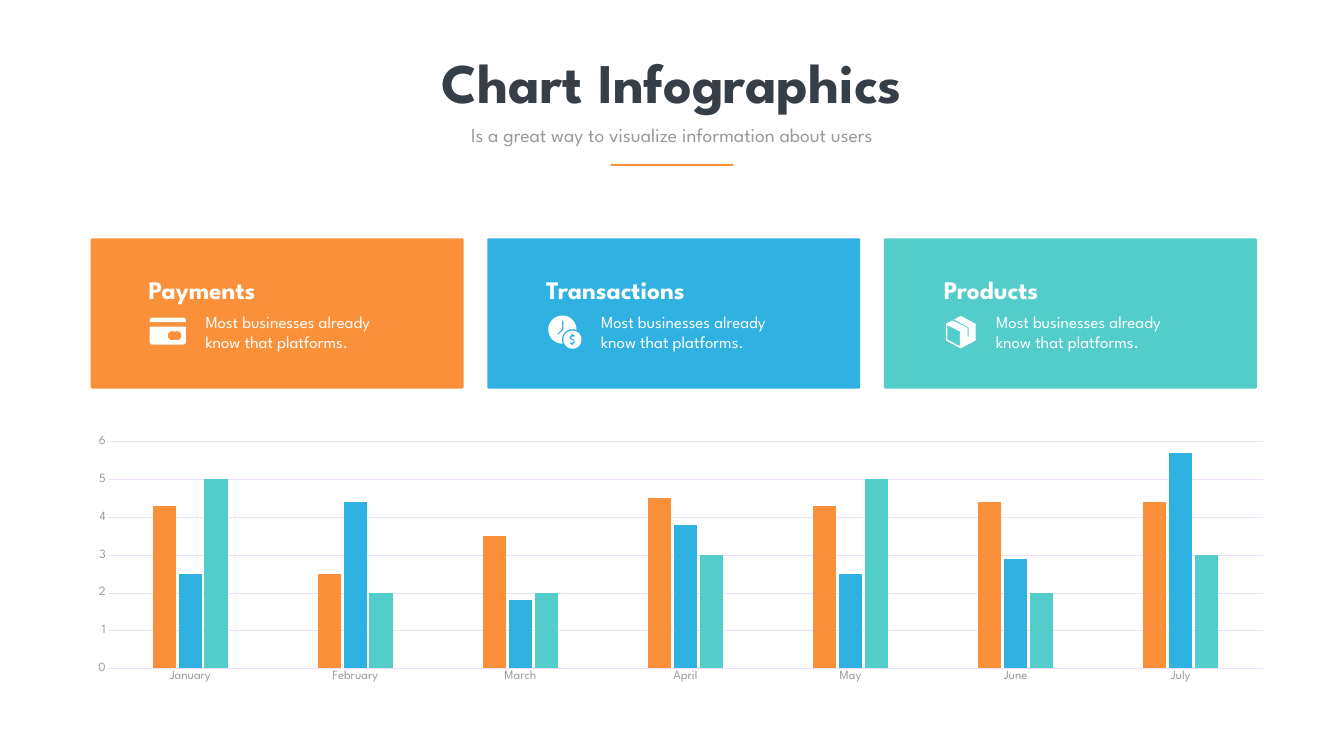
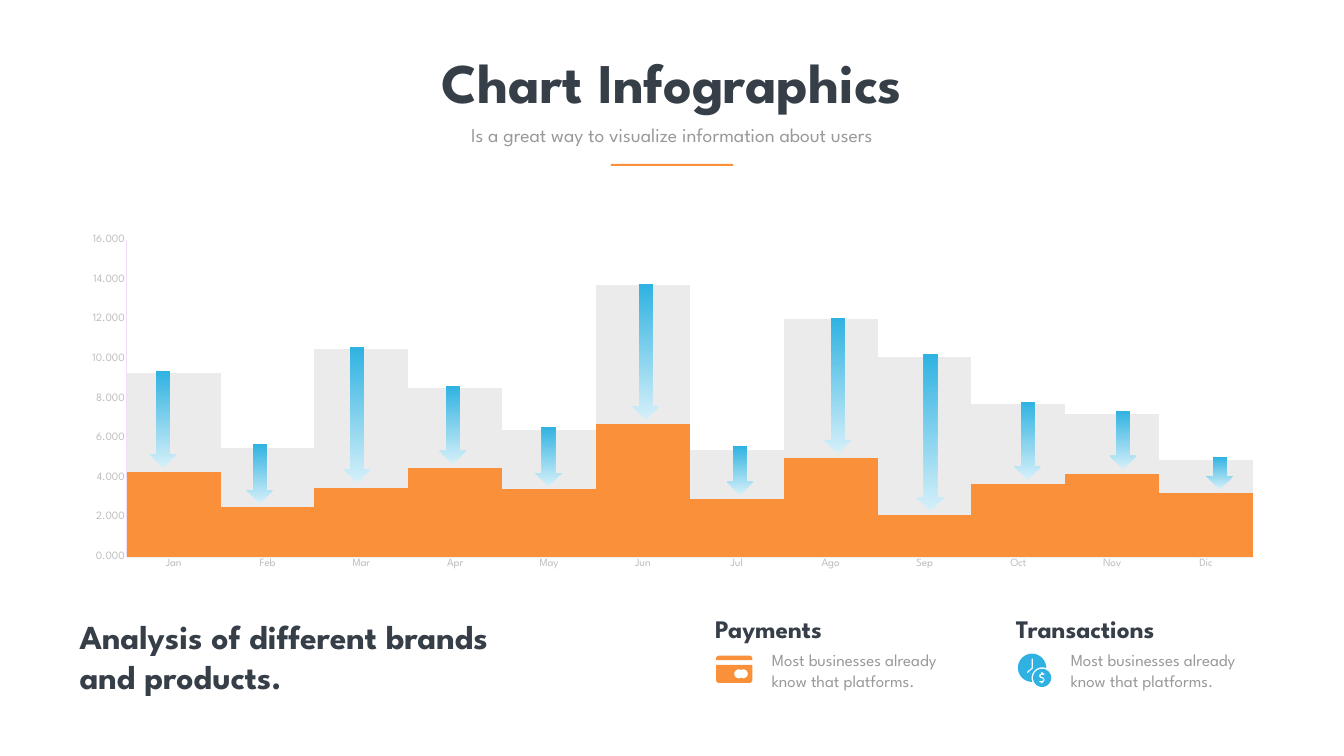
"""Build two chart infographic slides with shared headings, topics and icons."""
from dataclasses import dataclass
from math import cos, radians, sin

from pptx import Presentation
from pptx.chart.data import CategoryChartData
from pptx.dml.color import RGBColor
from pptx.enum.chart import XL_CHART_TYPE, XL_TICK_MARK
from pptx.enum.shapes import MSO_SHAPE
from pptx.enum.text import MSO_AUTO_SIZE, PP_ALIGN
from pptx.oxml import parse_xml
from pptx.oxml.ns import nsdecls, qn
from pptx.slide import Slide
from pptx.util import Pt

PX = 9144
FONT = "League Spartan"

ORANGE = RGBColor(0xFB, 0x90, 0x3A)
BLUE = RGBColor(0x2F, 0xB2, 0xE1)
TEAL = RGBColor(0x53, 0xCD, 0xCA)
WHITE = RGBColor(0xFF, 0xFF, 0xFF)
DARK = RGBColor(0x36, 0x3E, 0x48)
GRAY = RGBColor(0x99, 0x99, 0x99)
SILVER = RGBColor(0xBD, 0xBD, 0xBD)
PALE = RGBColor(0xEB, 0xEB, 0xEB)
MIST = RGBColor(0xF0, 0xF0, 0xF0)
LILAC = RGBColor(0xF0, 0xDF, 0xF8)
ICE = RGBColor(0xD5, 0xF0, 0xF9)

RECT = MSO_SHAPE.RECTANGLE
ROUND = MSO_SHAPE.ROUNDED_RECTANGLE
ARROW = MSO_SHAPE.UP_ARROW
CENTER = PP_ALIGN.CENTER
LEFT = PP_ALIGN.LEFT
GROW = MSO_AUTO_SIZE.SHAPE_TO_FIT_TEXT
NO_TICK = XL_TICK_MARK.NONE
CLUSTER = XL_CHART_TYPE.COLUMN_CLUSTERED
STACKED = XL_CHART_TYPE.COLUMN_STACKED

Path = list[tuple[float, float]]
Art = list[list[Path]]
Box = tuple[int, int, int, int]


@dataclass(frozen=True)
class Topic:
    title: str
    art: Art
    icon_x: int
    icon_y: int
    text_x: int


@dataclass(frozen=True)
class Plot:
    kind: int
    box: Box
    frame: tuple[float, float, float, float]
    months: list[str]
    rows: list[tuple[RGBColor, list[float]]]
    size: int
    ink: RGBColor
    top: int
    step: int
    form: str
    gap: int
    lap: int
    base: RGBColor | None
    side: RGBColor | None
    grid: RGBColor | None


def arc(x: float, y: float, r: float, start: int, end: int) -> Path:
    count = max(4, abs(end - start) // 10)
    turns = [radians(start + (end - start) * i / count) for i in range(count + 1)]
    return [(x + r * cos(t), y + r * sin(t)) for t in turns]


CARD: Art = [
    [arc(6, 6, 6, 180, 270) + arc(66, 6, 6, 270, 360) + [(72, 8), (71, 9), (1, 9), (0, 8)]],
    [
        [(0, 20), (1, 18), (71, 18), (72, 20)] + arc(66, 48, 6, 0, 90) + arc(6, 48, 6, 90, 180),
        arc(45, 36, 9, 62, 298) + arc(54, 36, 9, -118, 118),
    ],
]
CLOCK: Art = [
    [
        arc(28, 28, 28, 89, 361) + arc(48, 48, 21, 292, 158),
        [(27, 28), (27, 11), (28.5, 9), (30, 11), (30, 28), (29, 30),
         (20, 38), (18, 38), (18, 36)],
    ],
    [
        arc(48, 48, 18, 0, 360),
        [(47, 46), (48, 46), (51.5, 48), (53, 52), (52, 55), (49, 57), (49, 58),
         (48, 60), (46, 58), (46, 57), (43, 57), (42, 55), (43, 54), (48, 54),
         (51, 52), (50, 50), (48, 49), (47, 49), (43, 47), (42, 44), (43, 41),
         (46, 39), (46, 37), (48, 36), (49, 37), (49, 39), (52, 39), (53, 40),
         (52, 42), (47, 42), (45, 44)],
    ],
]
CRATE: Art = [
    [
        [(58, 15), (30, 0), (29, 0), (18, 6), (17, 7), (18, 8), (44, 22), (45, 23),
         (45, 41), (44, 42), (43, 41), (43, 24), (42, 23), (13, 9), (12, 9), (1, 15),
         (0, 16), (0, 48), (1, 49), (29, 64), (30, 64), (58, 49), (59, 48), (59, 16)],
        [(28, 60), (3, 47), (3, 18), (28, 31)],
    ],
]

PAY = Topic("Payments", CARD, 12, 90, 113)
TRADE = Topic("Transactions", CLOCK, 14, 86, 109)
GOODS = Topic("Products", CRATE, 14, 87, 104)
BLURB = "Most businesses already know that platforms."

SALES = Plot(
    CLUSTER, (95, 772, 2476, 616), (0.048, 0.169, 0.926, 0.731),
    ["January", "February", "March", "April", "May", "June", "July"],
    [
        (ORANGE, [4.3, 2.5, 3.5, 4.5, 4.3, 4.4, 4.4]),
        (BLUE, [2.5, 4.4, 1.8, 3.8, 2.5, 2.9, 5.7]),
        (TEAL, [5, 2, 2, 3, 5, 2, 3]),
    ],
    18, GRAY, 6, 1, "General", 380, -10, None, None, LILAC,
)
DROPS = Plot(
    STACKED, (134, 454, 2398, 691), (0.049, 0.032, 0.932, 0.91),
    ["Jan", "Feb", "Mar", "Apr", "May", "Jun", "Jul", "Ago", "Sep", "Oct", "Nov", "Dic"],
    [
        (ORANGE, [4.3, 2.5, 3.5, 4.5, 3.4, 6.7, 2.9, 5, 2.1, 3.7, 4.2, 3.2]),
        (PALE, [5, 3, 7, 4, 3, 7, 2.5, 7, 8, 4, 3, 1.7]),
    ],
    16, SILVER, 16, 2, "#,##0.000", 0, 100, MIST, LILAC, None,
)
ARROWS = [
    (297, 736, 192), (489, 881, 118), (682, 689, 269), (872, 766, 155),
    (1062, 847, 118), (1255, 564, 269), (1442, 885, 97), (1636, 631, 269),
    (1820, 703, 311), (2013, 797, 155), (2202, 815, 116), (2394, 906, 65),
]


def scale(box: Box) -> list[int]:
    return [n * PX for n in box]


def write(slide: Slide, box: Box, text: str, size: int, ink: RGBColor,
          bold: bool = False, align: int = LEFT) -> None:
    frame = slide.shapes.add_textbox(*scale(box)).text_frame
    frame.word_wrap = True
    frame.auto_size = GROW
    para = frame.paragraphs[0]
    para.text = text
    para.alignment = align
    font = para.font
    font.name, font.size, font.bold = FONT, Pt(size), bold
    font.color.rgb = ink


def block(slide: Slide, kind: int, box: Box, fill: RGBColor):
    shape = slide.shapes.add_shape(kind, *scale(box))
    shape.shadow.inherit = False
    shape.line.fill.background()
    shape.fill.solid()
    shape.fill.fore_color.rgb = fill
    return shape


def icon(slide: Slide, art: Art, left: int, top: int, fill: RGBColor) -> None:
    for part in art:
        pen = None
        for path in part:
            (x, y), *rest = [((left + a) * PX, (top + b) * PX) for a, b in path]
            if pen is None:
                pen = slide.shapes.build_freeform(x, y, 1.0)
            else:
                pen.move_to(x, y)
            pen.add_line_segments(rest, close=True)
        shape = pen.convert_to_shape()
        shape.shadow.inherit = False
        shape.line.fill.background()
        shape.fill.solid()
        shape.fill.fore_color.rgb = fill


def topic(slide: Slide, item: Topic, x: int, y: int, tint: RGBColor,
          head: RGBColor, ink: RGBColor) -> None:
    icon(slide, item.art, x + item.icon_x, y + item.icon_y, tint)
    write(slide, (x + item.text_x, y + 74, 417, 91), BLURB, 24, ink)
    write(slide, (x, y, 331, 71), item.title, 36, head, True)


def header(slide: Slide) -> None:
    write(slide, (688, 90, 1291, 145), "Chart Infographics", 80, DARK, True, CENTER)
    write(slide, (855, 238, 956, 57),
          "Is a great way to visualize information about users", 28, GRAY, False, CENTER)
    block(slide, RECT, (1212, 325, 243, 4), ORANGE)


def stroke(line, ink: RGBColor | None) -> None:
    if ink is None:
        line.fill.background()
    else:
        line.color.rgb = ink
        line.width = Pt(0.75)


def place(chart, frame: tuple[float, float, float, float]) -> None:
    area = chart.element.find(".//" + qn("c:plotArea"))
    for old in area.findall(qn("c:layout")):
        area.remove(old)
    sizes = "".join(f'<c:{tag} val="{n}"/>' for tag, n in zip("xywh", frame))
    area.insert(0, parse_xml(
        f'<c:layout {nsdecls("c")}><c:manualLayout><c:layoutTarget val="inner"/>'
        f'<c:xMode val="edge"/><c:yMode val="edge"/>{sizes}'
        "</c:manualLayout></c:layout>"))


def graph(slide: Slide, spec: Plot) -> None:
    data = CategoryChartData()
    data.categories = spec_months(spec)
    for i, (_, vals) in enumerate(spec_rows(spec), 1):
        data.add_series(f"Series {i}", vals)
    draw(slide, spec, data)


def spec_months(plan: Plot) -> list[str]:
    return plan.months


def spec_rows(plan: Plot) -> list[tuple[RGBColor, list[float]]]:
    return plan.rows


def draw(slide: Slide, plan: Plot, data: CategoryChartData) -> None:
    chart = slide.shapes.add_chart(plan.kind, *scale(plan.box), data).chart
    chart.has_title = chart.has_legend = False
    place(chart, plan.frame)
    plot = chart.plots[0]
    plot.vary_by_categories = False
    plot.gap_width, plot.overlap = plan.gap, plan.lap
    for row, (fill, _) in zip(plot.series, plan.rows):
        row.format.fill.solid()
        row.format.fill.fore_color.rgb = fill
    base, side = chart.category_axis, chart.value_axis
    for axis, ink in ((base, plan.base), (side, plan.side)):
        axis.major_tick_mark = axis.minor_tick_mark = NO_TICK
        stroke(axis.format.line, ink)
    for font in (chart.font, base.tick_labels.font, side.tick_labels.font):
        font.name, font.size = FONT, Pt(plan.size)
        font.color.rgb = plan.ink
    side.minimum_scale, side.maximum_scale = 0, plan.top
    side.major_unit = plan.step
    side.tick_labels.number_format = plan.form
    side.tick_labels.number_format_is_linked = False
    side.has_major_gridlines = plan.grid is not None
    if plan.grid is not None:
        stroke(side.major_gridlines.format.line, plan.grid)


def arrow(slide: Slide, left: int, top: int, high: int) -> None:
    shape = block(slide, ARROW, (left, top, 53, high), BLUE)
    shape.rotation = 180
    shape.fill.gradient()
    shape.fill.gradient_angle = 270
    for stop, ink in zip(shape.fill.gradient_stops, (ICE, BLUE)):
        stop.color.rgb = ink
    for stop, spot in zip(shape.fill.gradient_stops, (0, 1)):
        stop.position = spot


def main() -> None:
    deck = Presentation()
    deck.slide_width, deck.slide_height = 2667 * PX, 1500 * PX
    first, second = [deck.slides.add_slide(deck.slide_layouts[6]) for _ in range(2)]

    header(first)
    graph(first, SALES)
    for i, (item, fill) in enumerate(((PAY, ORANGE), (TRADE, BLUE), (GOODS, TEAL))):
        card = block(first, ROUND, (180 + 787 * i, 473, 740, 298), fill)
        card.adjustments[0] = 0.01
        topic(first, item, 285 + 789 * i, 540, WHITE, WHITE, WHITE)

    header(second)
    graph(second, DROPS)
    for spot in ARROWS:
        arrow(second, *spot)
    write(second, (148, 1217, 914, 172),
          "Analysis of different brands and products.", 48, DARK, True)
    for i, (item, fill) in enumerate(((PAY, ORANGE), (TRADE, BLUE))):
        topic(second, item, 1409 + 597 * i, 1211, fill, DARK, GRAY)

    deck.save("out.pptx")


if __name__ == "__main__":
    main()
